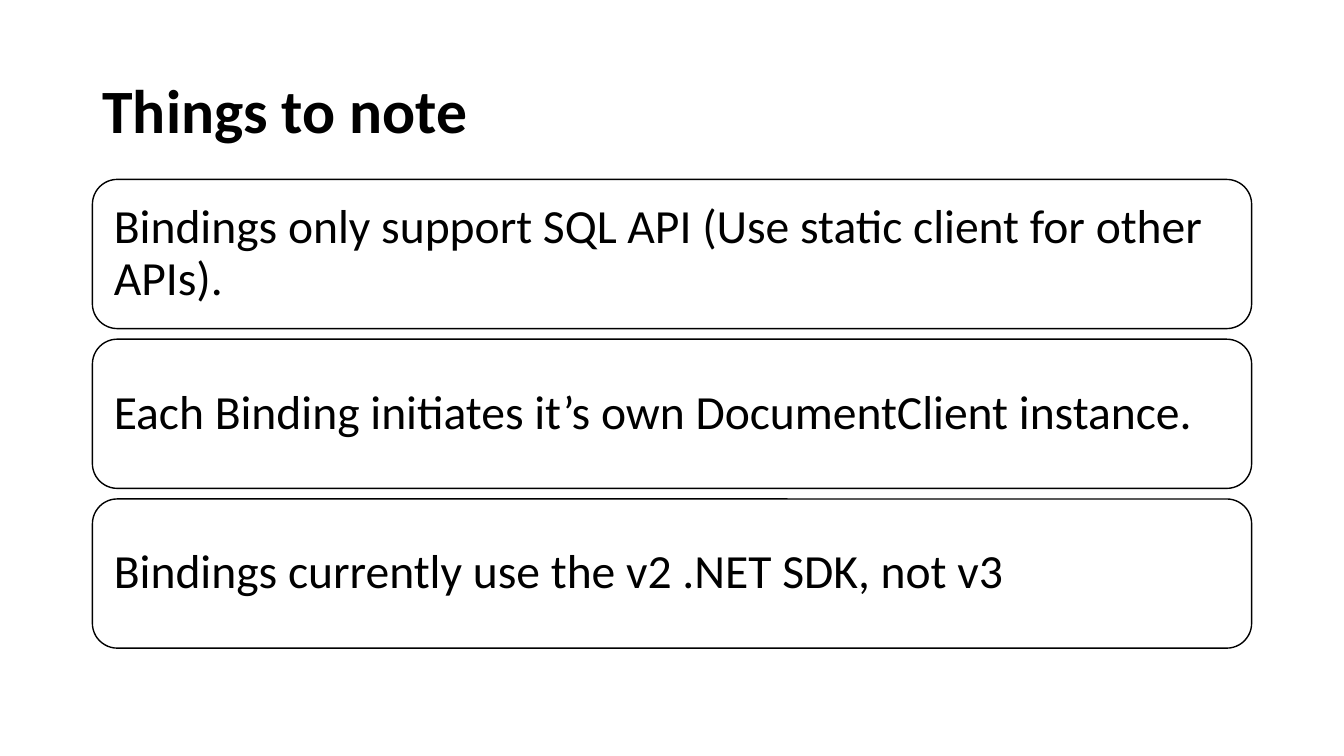
from dataclasses import dataclass

from pptx import Presentation
from pptx import util as u
from pptx.dml.color import RGBColor
from pptx.enum import shapes, text

HUES = {"ink": "000000", "card": "FFFFFF"}
FONT = "Calibri"
COLS, ROWS = 160, 150  # grid cells across and down the slide
LEFT, SPAN = 11, 138  # shared column and width
TOP, STEP, TALL = 35.6, 31.7, 29.6  # rows of the card stack


@dataclass
class Box:
    col: float
    row: float
    wide: float
    high: float


@dataclass
class Card:
    box: Box
    words: str


def hue(name: str) -> RGBColor:
    return RGBColor.from_string(HUES[name])


def place(shape, box: Box) -> None:
    shape.left, shape.width = (round(n * deck.slide_width / COLS) for n in (box.col, box.wide))
    shape.top, shape.height = (round(n * deck.slide_height / ROWS) for n in (box.row, box.high))


def write(shape, words: str, *, size: float, bold: bool = False,
          side: float = 0.1, edge: float = 0.05) -> None:
    frame = shape.text_frame
    frame.text = words
    frame.word_wrap = True
    frame.auto_size = text.MSO_AUTO_SIZE.NONE
    frame.vertical_anchor = text.MSO_ANCHOR.MIDDLE
    frame.margin_left = frame.margin_right = u.Inches(side)
    frame.margin_top = frame.margin_bottom = u.Inches(edge)
    para = frame.paragraphs[0]
    para.alignment = text.PP_ALIGN.LEFT
    para.line_spacing = 0.9
    font = para.runs[0].font
    font.name, font.size, font.bold = FONT, u.Pt(size), bold
    font.color.rgb = hue("ink")


def draw(card: Card) -> None:
    shape = slide.shapes.add_shape(shapes.MSO_SHAPE.ROUNDED_RECTANGLE, 0, 0, 0, 0)
    place(shape, card.box)
    shape.shadow.inherit = False
    shape.fill.solid()
    shape.fill.fore_color.rgb = hue("card")
    shape.line.color.rgb = hue("ink")
    shape.line.width = u.Pt(1)
    # Rounded shapes already inset their text by the corner
    write(shape, card.words, size=34, side=0.14, edge=0.14)


# Slide
deck = Presentation()
deck.slide_width, deck.slide_height = u.Inches(13.33), u.Inches(7.5)
slide = deck.slides.add_slide(deck.slide_layouts[5])

# Title
title = slide.shapes.title
place(title, Box(LEFT, 8, SPAN, 29))
write(title, "Things to note", size=44, bold=True)

# Stack of cards
notes = (
    "Bindings only support SQL API (Use static client for other APIs).",
    "Each Binding initiates it’s own DocumentClient instance.",
    "Bindings currently use the v2 .NET SDK, not v3",
)
for i, note in enumerate(notes):
    draw(Card(Box(LEFT, TOP + i * STEP, SPAN, TALL), note))

deck.save("out.pptx")
